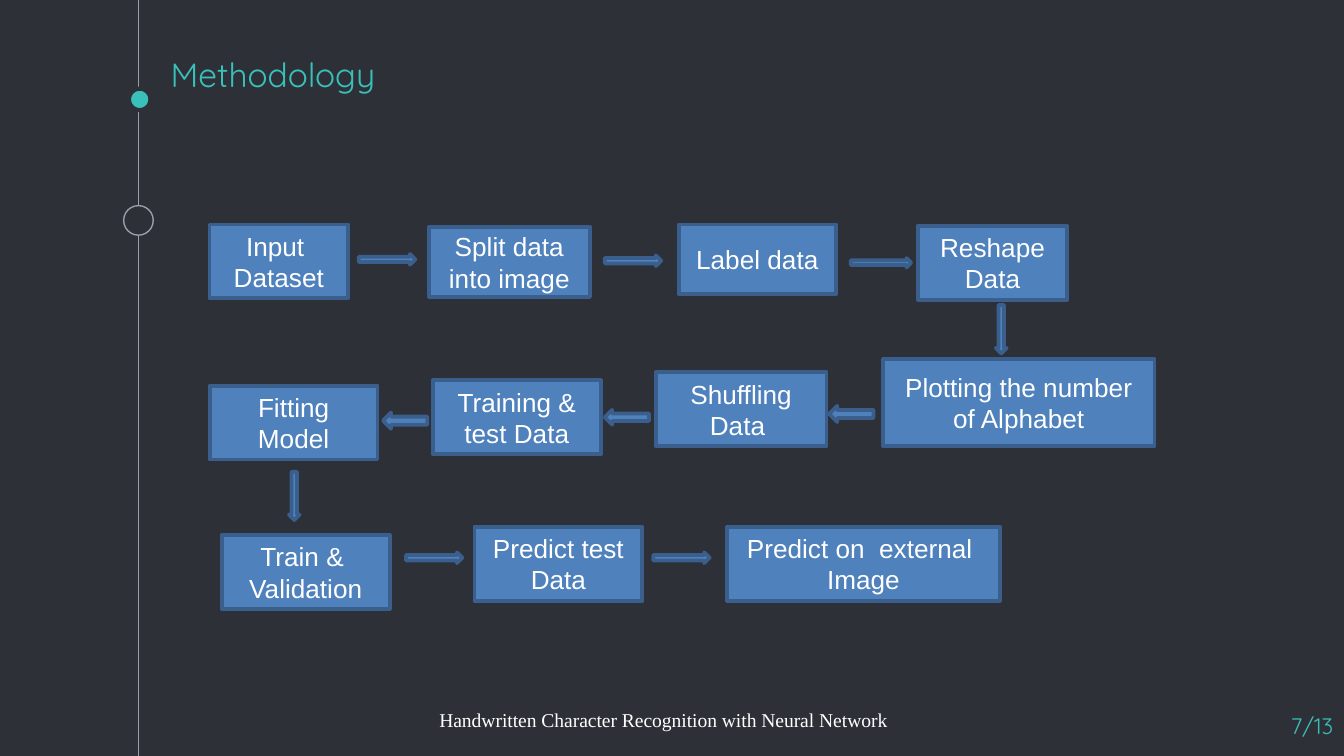
from lxml import etree
from pptx import Presentation
from pptx.dml.color import RGBColor
from pptx.enum import shapes, text
from pptx.oxml.ns import qn
from pptx.util import Inches, Pt

DARK = RGBColor(0x2E, 0x30, 0x37)
TEAL = RGBColor(0x39, 0xC0, 0xBA)
GREY = RGBColor(0x99, 0x9F, 0xA9)
BLUE = RGBColor(0x4F, 0x81, 0xBD)
EDGE = RGBColor(0x3A, 0x5F, 0x8C)
WHITE = RGBColor(0xFF, 0xFF, 0xFF)

SHAPE = shapes.MSO_SHAPE
ALIGN = text.PP_ALIGN
ANCHOR = text.MSO_ANCHOR

# 16:9 page
PAGE_WIDTH = Inches(10)
PAGE_HEIGHT = PAGE_WIDTH * 9 // 16

# Process steps in reading order: left, top, width, height, lines
STEPS = [
    (1.56, 1.67, 1.03, 0.55, ["Input ", "Dataset"]),
    (3.19, 1.69, 1.2, 0.52, ["Split data into image"]),
    (5.05, 1.67, 1.17, 0.52, ["Label data"]),
    (6.83, 1.68, 1.11, 0.55, ["Reshape Data"]),
    (6.57, 2.67, 2.02, 0.65, ["Plotting the number of Alphabet"]),
    (4.88, 2.77, 1.27, 0.55, ["Shuffling", "Data "]),
    (3.22, 2.83, 1.25, 0.55, ["Training & test Data"]),
    (1.56, 2.87, 1.25, 0.55, ["Fitting Model"]),
    (1.65, 3.98, 1.25, 0.55, ["Train & ", "Validation"]),
    (3.53, 3.92, 1.25, 0.55, ["Predict test", "Data"]),
    (5.41, 3.92, 2.03, 0.55, ["Predict on  external ", "Image"]),
]

# Block arrows between consecutive steps
ARROWS = [
    (SHAPE.RIGHT_ARROW, 2.67, 1.89, 0.42, 0.08),
    (SHAPE.RIGHT_ARROW, 4.5, 1.9, 0.42, 0.08),
    (SHAPE.RIGHT_ARROW, 6.33, 1.92, 0.45, 0.07),
    (SHAPE.DOWN_ARROW, 7.41, 2.27, 0.08, 0.36),
    (SHAPE.LEFT_ARROW, 6.17, 3.02, 0.33, 0.12),
    (SHAPE.LEFT_ARROW, 4.5, 3.05, 0.33, 0.11),
    (SHAPE.LEFT_ARROW, 2.85, 3.07, 0.33, 0.12),
    (SHAPE.DOWN_ARROW, 2.15, 3.51, 0.08, 0.36),
    (SHAPE.RIGHT_ARROW, 3.02, 4.11, 0.42, 0.08),
    (SHAPE.RIGHT_ARROW, 4.86, 4.11, 0.42, 0.08),
]


def write_text(box, lines, font="Arial", size=14, color=WHITE, align=ALIGN.CENTER,
               anchor=ANCHOR.MIDDLE, inset_x=0.1, inset_y=0.05):
    frame = box.text_frame
    frame.word_wrap = True
    frame.auto_size = text.MSO_AUTO_SIZE.NONE
    frame.vertical_anchor = anchor
    frame.margin_left = frame.margin_right = Inches(inset_x)
    frame.margin_top = frame.margin_bottom = Inches(inset_y)
    for index, line in enumerate(lines):
        para = frame.paragraphs[0] if index == 0 else frame.add_paragraph()
        para.alignment = align
        span = para.add_run()
        span.text = line
        span.font.name = font
        span.font.size = Pt(size)
        span.font.color.rgb = color


def add_block(page, kind, left, top, width, height, fill=BLUE, line=EDGE, weight=2):
    block = page.shapes.add_shape(kind, Inches(left), Inches(top),
                                  Inches(width), Inches(height))
    block.shadow.inherit = False
    block.fill.solid()
    block.fill.fore_color.rgb = fill
    block.line.color.rgb = line
    block.line.width = Pt(weight)
    return block


def add_label(page, left, top, width, height, line, **style):
    box = page.shapes.add_textbox(Inches(left), Inches(top),
                                  Inches(width), Inches(height))
    write_text(box, [line], anchor=ANCHOR.TOP, inset_y=0.1, **style)


def add_timeline(page):
    rail = page.shapes.add_connector(shapes.MSO_CONNECTOR.STRAIGHT, Inches(1.03), 0,
                                     Inches(1.03), PAGE_HEIGHT)
    rail.line.color.rgb = GREY
    rail.line.width = Pt(0.75)
    etree.SubElement(rail._element.spPr, qn("a:effectLst"))
    add_block(page, SHAPE.OVAL, 0.96, 0.66, 0.16, 0.16, fill=TEAL, line=DARK, weight=2.25)
    add_block(page, SHAPE.OVAL, 0.92, 1.53, 0.22, 0.22, fill=DARK, line=GREY, weight=0.75)


def add_title(page, line):
    title = page.shapes.title
    title.left, title.top = Inches(1.27), Inches(0.42)
    title.width, title.height = Inches(7.5), Inches(0.38)
    write_text(title, [line], font="Quicksand", size=18, color=TEAL, align=ALIGN.LEFT,
               anchor=ANCHOR.BOTTOM, inset_x=0, inset_y=0.1)


def main():
    deck = Presentation()
    deck.slide_width, deck.slide_height = PAGE_WIDTH, PAGE_HEIGHT
    page = deck.slides.add_slide(deck.slide_layouts[5])
    page.background.fill.solid()
    page.background.fill.fore_color.rgb = DARK

    add_timeline(page)
    add_title(page, "Methodology")

    # Flow chart
    for *place, lines in STEPS:
        write_text(add_block(page, SHAPE.RECTANGLE, *place), lines)
    for arrow in ARROWS:
        add_block(page, *arrow)

    # Footer and page number
    add_label(page, 2.84, 5.17, 4.16, 0.39,
              " Handwritten Character Recognition with Neural Network",
              font="Times New Roman", size=10.5)
    add_label(page, 9.32, 5.2, 0.6, 0.34, "7/13", font="Quicksand", size=12,
              color=TEAL, align=ALIGN.RIGHT, inset_x=0)

    deck.save("out.pptx")


if __name__ == "__main__":
    main()
